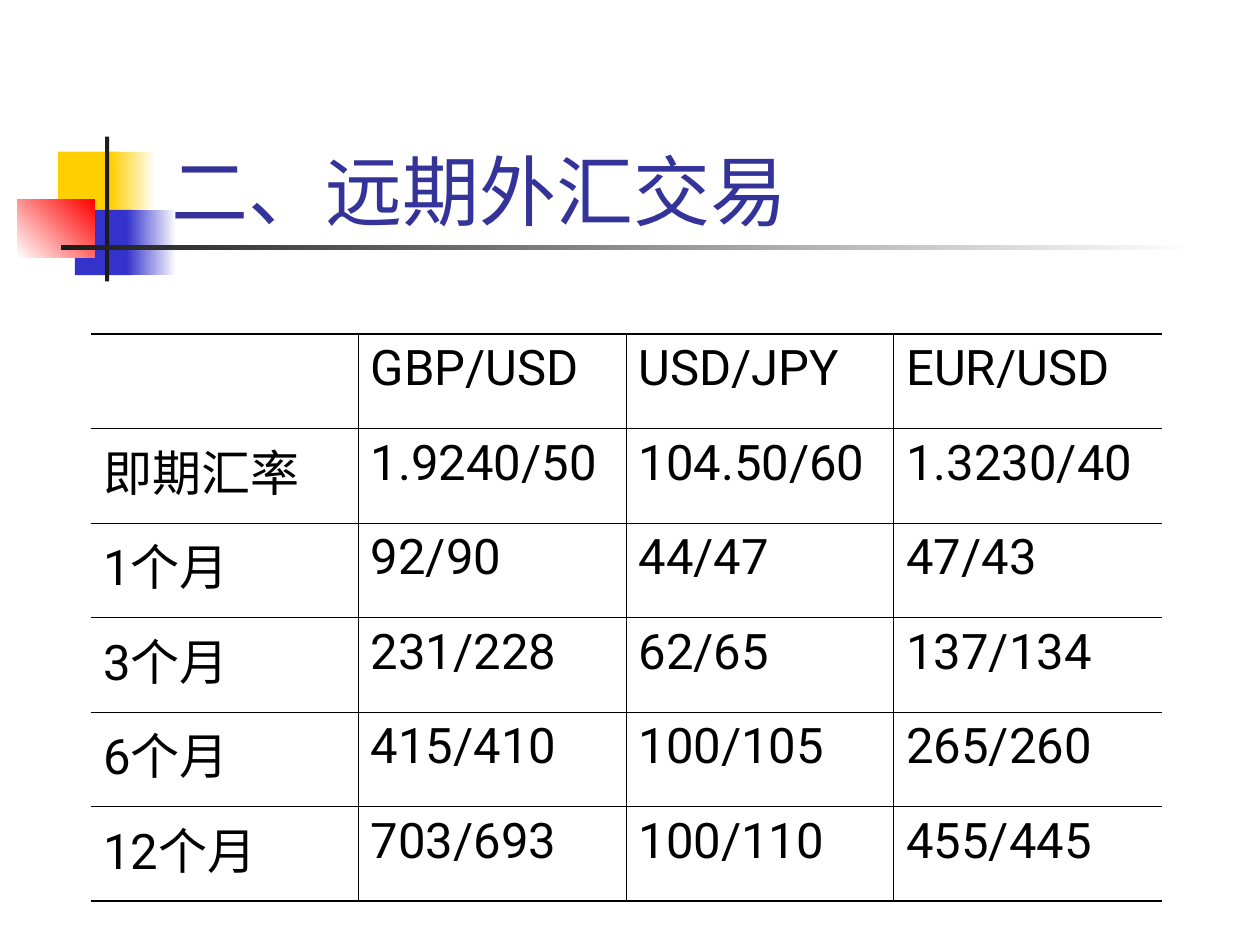
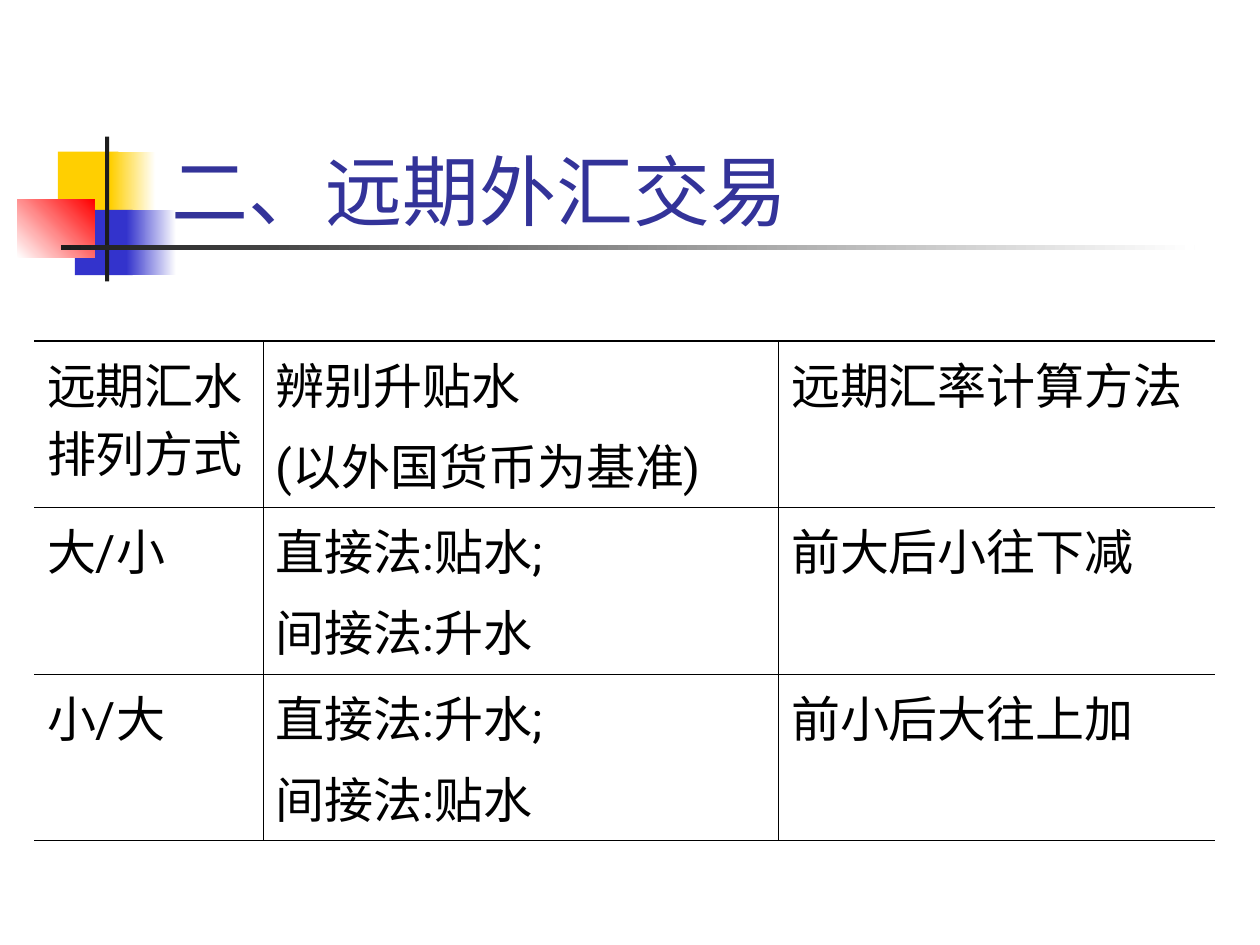
"""Builds two slides of forward exchange tables under a shared title band."""
import pptx
import pptx.util
import pptx.dml.color
import pptx.enum.lang
import pptx.enum.shapes
import pptx.enum.text
import pptx.oxml
import pptx.oxml.ns

Pt = pptx.util.Pt

COLORS = {
    "yellow": "FFCF01", "blue": "3333CC", "red": "FF0000", "white": "FFFFFF",
    "dark": "1C1C1C", "title": "333399", "text": "000000",
}
FONT = "Roboto"
TITLE = "二、远期外汇交易"
TITLE_AREA = (90.7, 48.2, 613.4, 90)
TITLE_SIZE, CELL_SIZE, PARA_GAP = 44, 28, 7
CHINESE_SPACING = 1.2
OUTER_LINE, INNER_LINE = 1.08, 0.45

DECORATION = [
    ((33.1, 86.6, 34.6, 37.4), ["yellow"], 0),
    ((63.2, 86.6, 25.6, 37.4), ["yellow", "white"], 0),
    ((42.8, 119.9, 33.1, 37.4), ["blue"], 0),
    ((72.2, 119.9, 28.6, 37.4), ["blue", "white"], 0),
    ((9.9, 114, 44.2, 33.2), ["white", "red"], 45),
    ((60, 78, 2.4, 82.8), ["dark"], 0),
    ((34.7, 140.2, 648, 2.5), ["dark", "white"], 0),
]

TABLES = [
    {
        "origin": (51.8, 190.8),
        "columns": [153] * 4,
        "rows": [54] * 6,
        "bottom_line": OUTER_LINE,
        "cells": [
            ["", "GBP/USD", "USD/JPY", "EUR/USD"],
            ["即期汇率", "1.9240/50", "104.50/60", "1.3230/40"],
            ["1个月", "92/90", "44/47", "47/43"],
            ["3个月", "231/228", "62/65", "137/134"],
            ["6个月", "415/410", "100/105", "265/260"],
            ["12个月", "703/693", "100/110", "455/445"],
        ],
    },
    {
        "origin": (19.7, 194.9),
        "columns": [130.7, 294.5, 249.3],
        "rows": [95.2] * 3,
        "bottom_line": INNER_LINE,
        "cells": [
            ["远期汇水排列方式", "辨别升贴水\n(以外国货币为基准)", "远期汇率计算方法"],
            ["大/小", "直接法:贴水;\n间接法:升水", "前大后小往下减"],
            ["小/大", "直接法:升水;\n间接法:贴水", "前小后大往上加"],
        ],
    },
]


def rgb(name):
    return pptx.dml.color.RGBColor.from_string(COLORS[name])


def write(para, text, size, color):
    span = para.add_run()
    span.text = text
    span.font.name = FONT
    span.font.size = Pt(size)
    span.font.color.rgb = rgb(color)
    span.font.language_id = pptx.enum.lang.MSO_LANGUAGE_ID.SIMPLIFIED_CHINESE
    east_asian = pptx.oxml.parse_xml(
        f'<a:ea {pptx.oxml.ns.nsdecls("a")} typeface="{FONT}"/>')
    span._r.get_or_add_rPr().append(east_asian)


def add_decoration(page):
    for area, colors, angle in DECORATION:
        block = page.shapes.add_shape(
            pptx.enum.shapes.MSO_SHAPE.RECTANGLE, *map(Pt, area))
        block.shadow.inherit = False
        block.line.fill.background()
        if len(colors) == 1:
            block.fill.solid()
            block.fill.fore_color.rgb = rgb(colors[0])
        else:
            block.fill.gradient()
            block.fill.gradient_angle = angle
            for stop, color in zip(block.fill.gradient_stops, colors):
                stop.color.rgb = rgb(color)


def add_title(page):
    box = page.shapes.add_textbox(*map(Pt, TITLE_AREA))
    box.text_frame.word_wrap = True
    box.text_frame.vertical_anchor = pptx.enum.text.MSO_ANCHOR.BOTTOM
    write(box.text_frame.paragraphs[0], TITLE, TITLE_SIZE, "title")


def set_borders(cell, widths):
    """Draw left, right, top and bottom lines, leaving out those of width 0."""
    properties = cell._tc.get_or_add_tcPr()
    for index, (side, width) in enumerate(zip("LRTB", widths)):
        paint = (f'<a:solidFill><a:srgbClr val="{COLORS["text"]}"/></a:solidFill>'
                 if width else "<a:noFill/>")
        properties.insert(index, pptx.oxml.parse_xml(
            f'<a:ln{side} {pptx.oxml.ns.nsdecls("a")} w="{int(Pt(width))}">'
            f"{paint}</a:ln{side}>"))


def fill_cell(cell, text):
    for index, line in enumerate(text.split("\n") if text else []):
        para = cell.text_frame.paragraphs[0]
        if index:
            para = cell.text_frame.add_paragraph()
            para.space_before = Pt(PARA_GAP)
        if not line.isascii():
            para.line_spacing = CHINESE_SPACING
        write(para, line, CELL_SIZE, "text")


def add_table(page, content):
    columns, rows = content["columns"], content["rows"]
    area = (*content["origin"], sum(columns), sum(rows))
    table = page.shapes.add_table(len(rows), len(columns), *map(Pt, area)).table
    table.first_row = table.horz_banding = False
    for column, width in zip(table.columns, columns):
        column.width = Pt(width)
    for row, height in zip(table.rows, rows):
        row.height = Pt(height)
    for r, texts in enumerate(content["cells"]):
        for c, text in enumerate(texts):
            cell = table.cell(r, c)
            cell.fill.background()
            set_borders(cell, (
                INNER_LINE if c else 0,
                INNER_LINE if c < len(columns) - 1 else 0,
                INNER_LINE if r else OUTER_LINE,
                INNER_LINE if r < len(rows) - 1 else content["bottom_line"]))
            fill_cell(cell, text)


def main():
    deck = pptx.Presentation()
    deck.slide_width, deck.slide_height = Pt(720), Pt(540)
    for content in TABLES:
        page = deck.slides.add_slide(deck.slide_layouts[6])
        add_decoration(page)
        add_title(page)
        add_table(page, content)
    deck.save("out.pptx")


if __name__ == "__main__":
    main()
